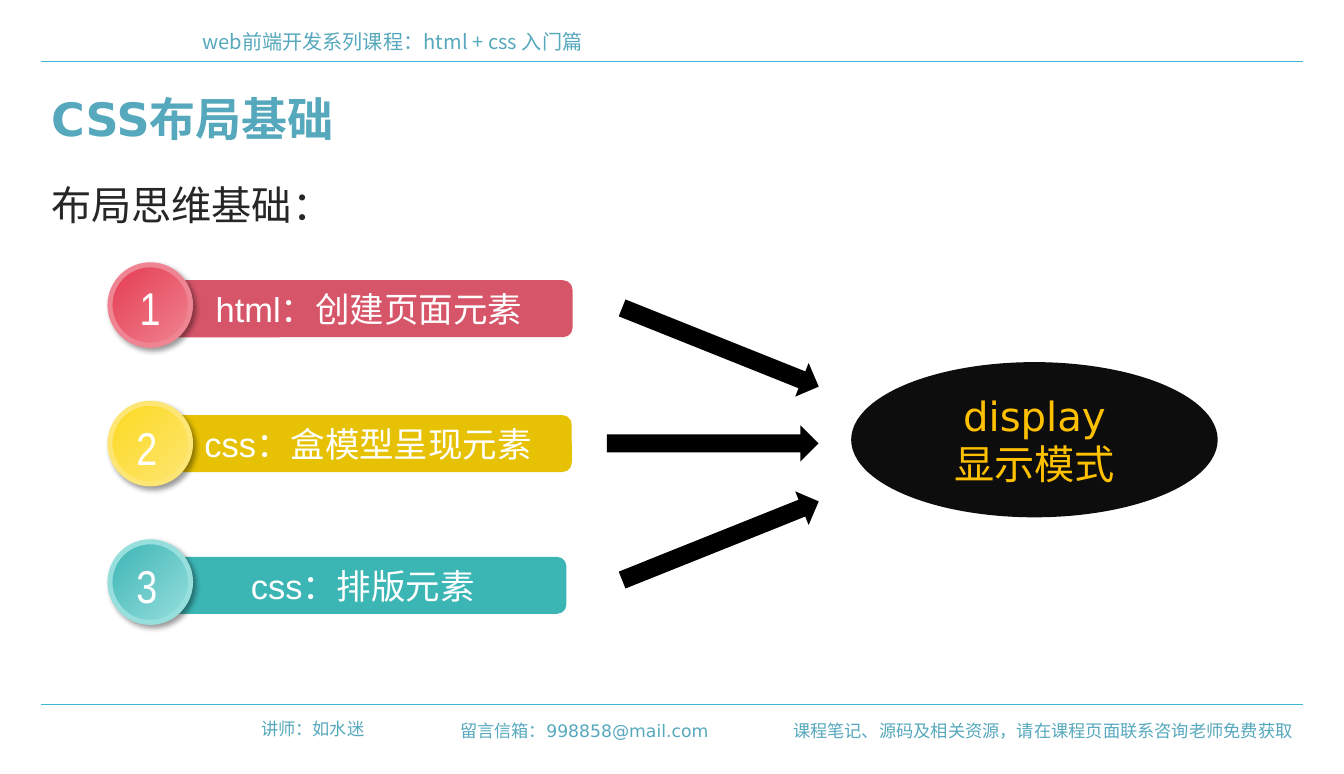
import dataclasses

import lxml.etree
import pptx
import pptx.dml.color
import pptx.enum.dml
import pptx.enum.shapes
import pptx.enum.text
import pptx.oxml
import pptx.oxml.ns
import pptx.util

Cm = pptx.util.Cm
Pt = pptx.util.Pt
SHAPES = pptx.enum.shapes.MSO_SHAPE
ALIGN = pptx.enum.text.PP_ALIGN
qn = pptx.oxml.ns.qn


@dataclasses.dataclass(frozen=True)
class Theme:
    accent: str = "56A8BD"
    rule: str = "3CB7D7"
    ink: str = "262626"
    white: str = "FFFFFF"
    black: str = "000000"
    hub: str = "0D0D0D"
    hub_text: str = "FFC000"
    sans: str = "DejaVu Sans"
    chinese: str = "Noto Sans CJK SC"
    bar_font: str = "Arial"
    number_font: str = "Arial Narrow"
    footer_size: int = 12
    header_size: int = 14
    bar_size: int = 24
    body_size: int = 28
    title_size: int = 32


class SlideBuilder:
    def __init__(self, deck, theme):
        self.theme = theme
        self.slide = deck.slides.add_slide(deck.slide_layouts[1])

    def color(self, value):
        return pptx.dml.color.RGBColor.from_string(value)

    def set_text(self, shape, text, size, color, font, align=ALIGN.LEFT, bold=False):
        frame = shape.text_frame
        frame.word_wrap = True
        frame.auto_size = pptx.enum.text.MSO_AUTO_SIZE.NONE
        frame.vertical_anchor = pptx.enum.text.MSO_ANCHOR.MIDDLE
        para = frame.paragraphs[0]
        para.text = text
        para.alignment = align
        para.space_before = Pt(0)
        for span in para.runs:
            span.font.size = Pt(size)
            span.font.bold = bold
            span.font.name = font
            span.font.color.rgb = self.color(color)
            east_asian = pptx.oxml.parse_xml(
                f'<a:ea {pptx.oxml.ns.nsdecls("a")} typeface="{self.theme.chinese}"/>'
            )
            span.font._element.find(qn("a:latin")).addnext(east_asian)

    def placeholder(self, index, area, text, size, color, font, bold=False):
        shape = self.slide.placeholders[index]
        shape.left, shape.top, shape.width, shape.height = map(Cm, area)
        self.set_text(shape, text, size, color, font, bold=bold)
        if index:
            properties = shape.text_frame.paragraphs[0]._p.get_or_add_pPr()
            properties.set("marL", "0")
            properties.set("indent", "0")
            lxml.etree.SubElement(properties, qn("a:buNone"))

    def text(self, area, text, size, color, font, align=ALIGN.LEFT):
        box = self.slide.shapes.add_textbox(*map(Cm, area))
        self.set_text(box, text, size, color, font, align)

    def rule(self, top):
        line = self.slide.shapes.add_connector(
            pptx.enum.shapes.MSO_CONNECTOR.STRAIGHT, Cm(1), Cm(top), Cm(32), Cm(top)
        )
        line.line.color.rgb = self.color(self.theme.rule)
        line.line.width = Pt(0.75)
        lxml.etree.SubElement(line._element.spPr, qn("a:effectLst"))

    def shape(self, kind, area, fill, rotation=0):
        shape = self.slide.shapes.add_shape(kind, *map(Cm, area))
        shape.shadow.inherit = False
        shape.fill.solid()
        shape.fill.fore_color.rgb = self.color(fill)
        shape.line.fill.background()
        shape.rotation = rotation
        return shape

    def badge(self, area, light, dark):
        disc = self.shape(SHAPES.OVAL, area, dark)
        disc.fill.gradient()
        disc.fill.gradient_angle = 135
        for stop, value in zip(disc.fill.gradient_stops, (light, dark)):
            stop.color.rgb = self.color(value)
        disc.line.color.rgb = self.color(light)
        disc.line.width = Pt(3.5)
        effects = disc._element.spPr.find(qn("a:effectLst"))
        effects.append(pptx.oxml.parse_xml(
            f'<a:outerShdw {pptx.oxml.ns.nsdecls("a")} blurRad="{Pt(4)}" '
            f'dist="{Pt(3)}" dir="2700000" algn="tl" rotWithShape="0">'
            f'<a:srgbClr val="{self.theme.black}"><a:alpha val="40000"/>'
            '</a:srgbClr></a:outerShdw>'
        ))

    def step(self, number, text, bar_at, digit_at, bar_color, light, dark):
        theme = self.theme
        bar = self.shape(SHAPES.ROUNDED_RECTANGLE, (*bar_at, 10, 1.4), bar_color)
        self.set_text(bar, text, theme.bar_size, theme.white, theme.bar_font, ALIGN.CENTER)
        self.badge((2.7, 6.5 + 3.4 * (number - 1), 1.98, 1.98), light, dark)
        self.text((*digit_at, 0.77, 1.62), str(number), theme.title_size,
                  theme.white, theme.number_font)

    def arrow(self, left, top, rotation):
        self.shape(SHAPES.RIGHT_ARROW, (left, top, 5.2, 0.89), self.theme.black, rotation)

    def hub(self, area, text):
        theme = self.theme
        ellipse = self.shape(SHAPES.OVAL, area, theme.hub)
        self.set_text(ellipse, text, theme.body_size, theme.hub_text, theme.sans, ALIGN.CENTER)


def main():
    deck = pptx.Presentation()
    deck.slide_width = Cm(33)
    deck.slide_height = Cm(19)
    theme = Theme()
    page = SlideBuilder(deck, theme)

    for top in (1.5, 17.3):
        page.rule(top)
    page.text((4.72, 0.6, 26.7, 0.86), "web前端开发系列课程：html + css 入门篇",
              theme.header_size, theme.accent, theme.chinese)
    footers = [
        ((5.7, 17.5, 3.5, 0.76), "讲师：如水迷"),
        ((19.1, 17.55, 12.9, 0.76), "课程笔记、源码及相关资源，请在课程页面联系咨询老师免费获取"),
        ((10.9, 17.55, 6.75, 0.76), "留言信箱：998858@mail.com"),
    ]
    for area, text in footers:
        page.text(area, text, theme.footer_size, theme.accent, theme.sans, ALIGN.RIGHT)

    page.placeholder(0, (1, 2.1, 31, 1.62), "CSS布局基础",
                     theme.title_size, theme.accent, theme.sans, bold=True)
    page.placeholder(1, (1, 4.3, 16.9, 1.45), "布局思维基础：",
                     theme.body_size, theme.ink, theme.chinese)

    steps = [
        ("html：创建页面元素", (4.06, 6.88), (3.18, 6.73), "D75569", "EF8592", "E53B51"),
        ("css：盒模型呈现元素", (4.04, 10.19), (3.1, 10.16), "E7C103", "FDE673", "FCD920"),
        ("css：排版元素", (3.91, 13.67), (3.1, 13.56), "3CB5B5", "97DFDD", "3CB5B5"),
    ]
    for number, step in enumerate(steps, 1):
        page.step(number, *step)

    page.hub((20.9, 8.89, 9, 3.81), "display\n显示模式")
    for left, top, rotation in ((14.9, 10.44, 0), (15.09, 8.08, 21.8), (15.09, 12.83, -21.8)):
        page.arrow(left, top, rotation)

    deck.save("out.pptx")


if __name__ == "__main__":
    main()
